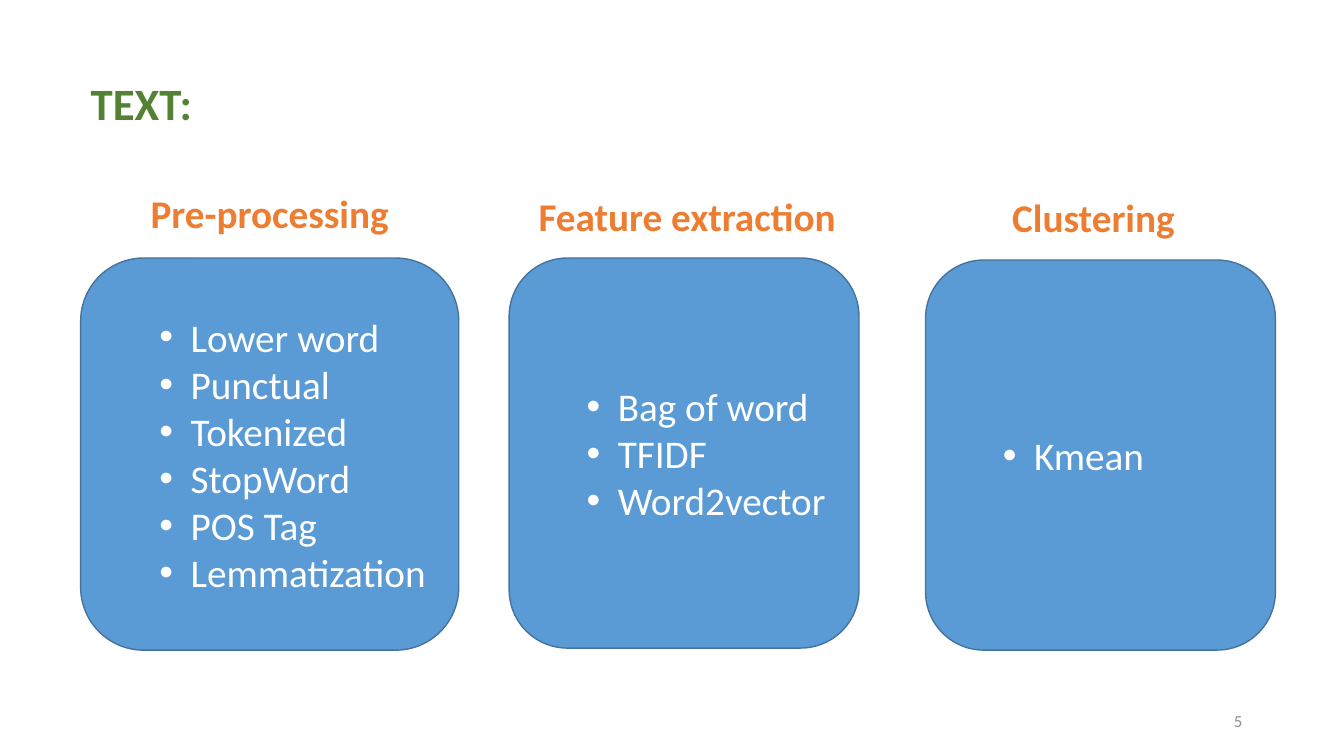
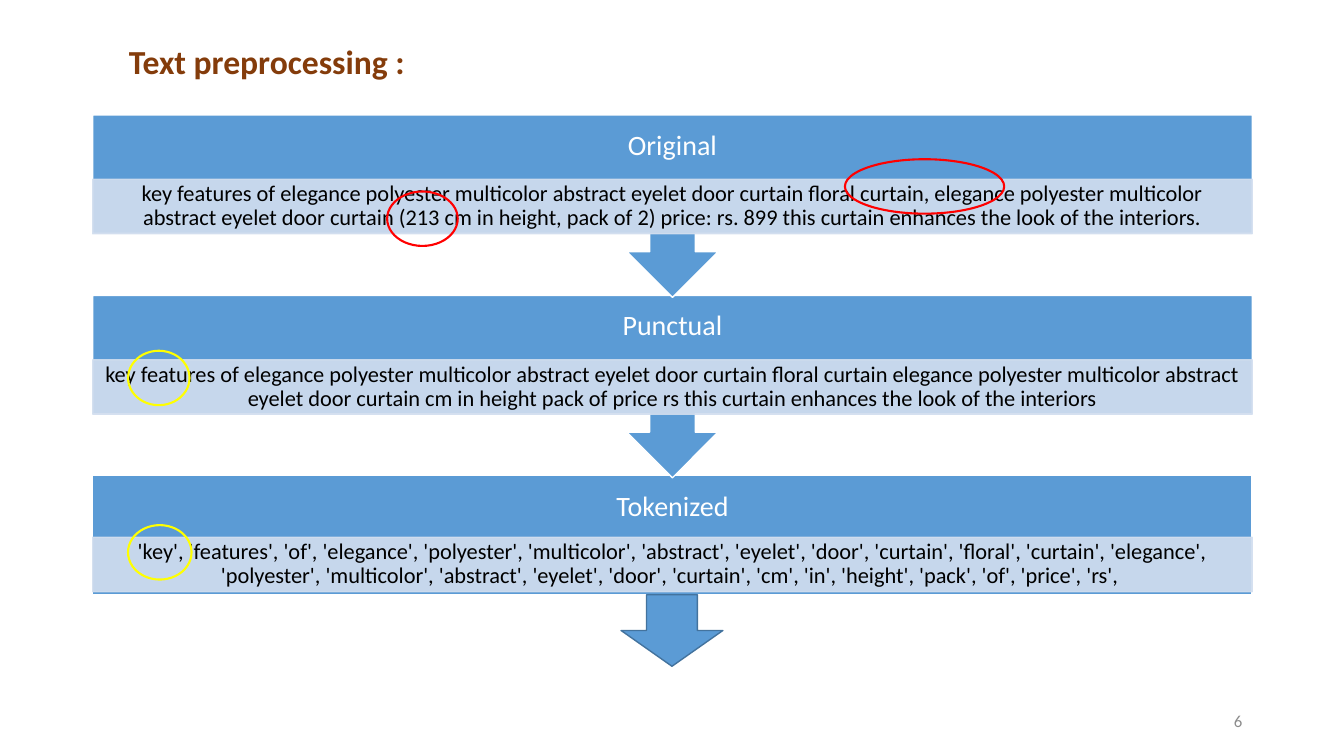
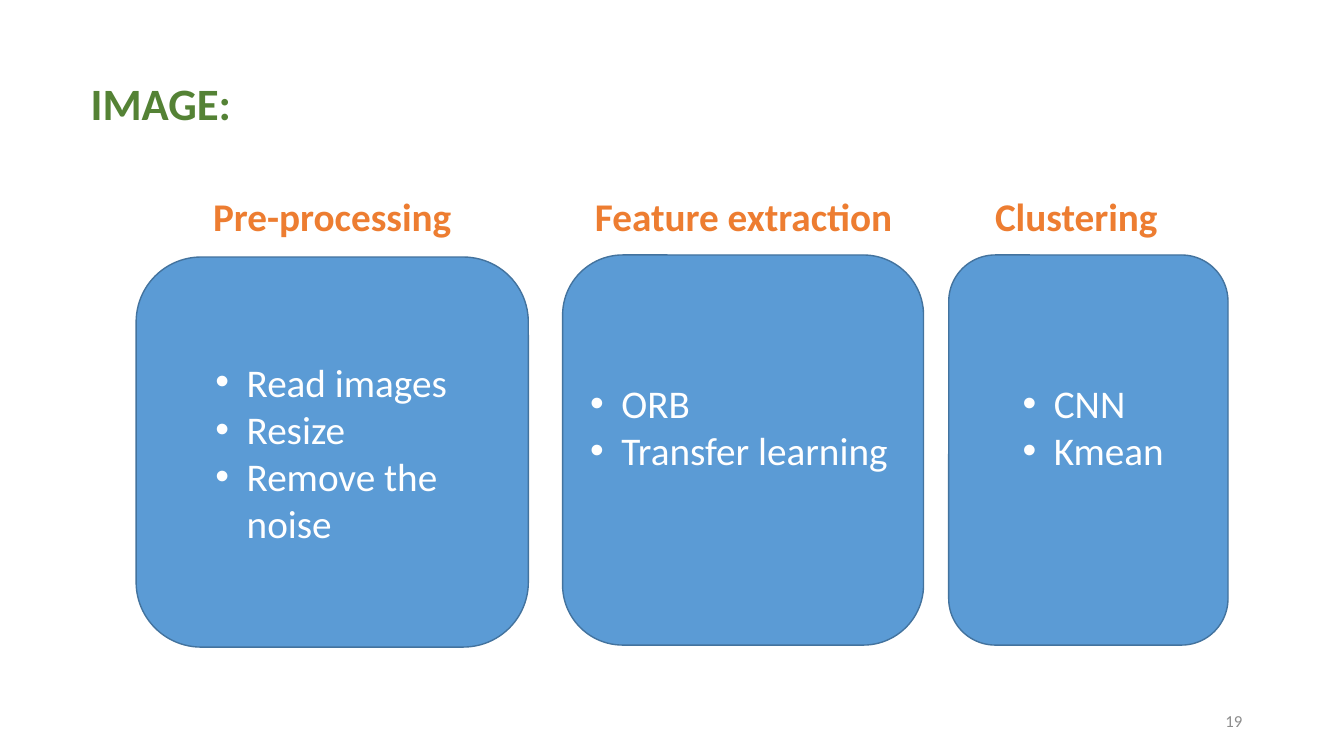
from dataclasses import dataclass

from lxml.etree import SubElement
from pptx import Presentation
from pptx.dml.color import RGBColor
from pptx.enum.shapes import MSO_SHAPE
from pptx.enum.text import MSO_ANCHOR, PP_ALIGN
from pptx.oxml.ns import qn
from pptx.util import Inches, Pt


@dataclass(frozen=True)
class Theme:
    font: str = "Calibri"
    blue: str = "5B9BD5"
    blue_edge: str = "43739E"
    pale_blue: str = "D2DEEF"
    white: str = "FFFFFF"
    black: str = "000000"
    green: str = "548235"
    orange: str = "ED7D31"
    brown: str = "843C0B"
    gray: str = "8C8C8C"
    red: str = "FF0000"
    yellow: str = "FFFF00"
    title_size: int = 32
    body_size: int = 28
    subtitle_size: int = 24
    stage_size: int = 20
    detail_size: int = 16
    footer_size: int = 12


THEME = Theme()


@dataclass(frozen=True)
class Card:
    """Rounded card; boxes are (left, top, width, height) in inches."""
    heading: str
    heading_box: tuple
    box: tuple
    items: tuple
    indent: float = 0.81
    bottom_inset: float = 0.05


TEXT_CARDS = (
    Card("Pre-processing", (0.73, 1.7, 3.89, 0.83), (0.8, 2.56, 3.75, 3.89),
         ("Lower word", "Punctual", "Tokenized", "StopWord", "POS Tag", "Lemmatization")),
    Card("Feature extraction", (5.05, 1.75, 3.53, 0.78), (5.05, 2.56, 3.47, 3.87),
         ("Bag of word", "TFIDF", "Word2vector")),
    Card("Clustering", (9.08, 1.76, 3.53, 0.78), (9.18, 2.58, 3.47, 3.87), ("Kmean",)),
)

IMAGE_CARDS = (
    Card("Pre-processing", (1.7, 1.75, 3.19, 0.78), (1.35, 2.55, 3.89, 3.87),
         ("Read images", "Resize", "Remove the noise")),
    Card("Feature extraction", (5.61, 1.75, 3.53, 0.78), (5.58, 2.53, 3.58, 3.87),
         ("ORB", "Transfer learning"), indent=0.31, bottom_inset=0.52),
    Card("Clustering", (9.31, 1.75, 2.73, 0.78), (9.41, 2.53, 2.77, 3.87),
         ("CNN", "Kmean"), bottom_inset=0.52),
)

STAGES = (
    ("Original",
     "key features of elegance polyester multicolor abstract eyelet door curtain floral "
     "curtain, elegance polyester multicolor abstract eyelet door curtain (213 cm in height, "
     "pack of 2) price: rs. 899 this curtain enhances the look of the interiors."),
    ("Punctual",
     "key features of elegance polyester multicolor abstract eyelet door curtain floral "
     "curtain elegance polyester multicolor abstract eyelet door curtain cm in height pack of "
     "price rs this curtain enhances the look of the interiors"),
    ("Tokenized",
     "'key', 'features', 'of', 'elegance', 'polyester', 'multicolor', 'abstract', 'eyelet', "
     "'door', 'curtain', 'floral', 'curtain', 'elegance', 'polyester', 'multicolor', "
     "'abstract', 'eyelet', 'door', 'curtain', 'cm', 'in', 'height', 'pack', 'of', 'price', "
     "'rs', "),
)

HIGHLIGHTS = (
    (THEME.red, (8.38, 1.58, 1.58, 0.54)),
    (THEME.yellow, (1.27, 5.21, 0.63, 0.54)),
    (THEME.red, (3.84, 1.9, 0.7, 0.54)),
    (THEME.yellow, (1.27, 3.48, 0.61, 0.54)),
)


def color(value):
    return RGBColor.from_string(value)


def set_bullet(paragraph, indent):
    properties = paragraph._p.get_or_add_pPr()
    properties.set("marL", str(Inches(indent)))
    properties.set("indent", str(-Inches(0.31)))
    SubElement(properties, qn("a:buFont")).set("typeface", "Arial")
    SubElement(properties, qn("a:buChar")).set("char", "•")


def write(shape, *lines, size, ink, bold=False, align=PP_ALIGN.LEFT,
          insets=(0.1, 0.05, 0.1, 0.05), spacing=None, indent=None):
    """Fill a shape with one paragraph per line; an indent makes them bullets."""
    frame = shape.text_frame
    frame.word_wrap = True
    frame.vertical_anchor = MSO_ANCHOR.MIDDLE
    (frame.margin_left, frame.margin_top,
     frame.margin_right, frame.margin_bottom) = map(Inches, insets)
    for index, line in enumerate(lines):
        paragraph = frame.add_paragraph() if index else frame.paragraphs[0]
        paragraph.alignment = align
        if spacing:
            paragraph.line_spacing = spacing
        if indent is not None:
            set_bullet(paragraph, indent)
        span = paragraph.add_run()
        span.text = line
        span.font.name = THEME.font
        span.font.size = Pt(size)
        span.font.bold = bold
        span.font.color.rgb = color(ink)


def add_block(page, kind, box, fill=None, edge=None, edge_width=1):
    shape = page.shapes.add_shape(kind, *map(Inches, box))
    shape.shadow.inherit = False
    if fill:
        shape.fill.solid()
        shape.fill.fore_color.rgb = color(fill)
    else:
        shape.fill.background()
    if edge:
        shape.line.color.rgb = color(edge)
        shape.line.width = Pt(edge_width)
    else:
        shape.line.fill.background()
    return shape


def add_heading(page, box, text, **text_format):
    """Place bold text on a white panel."""
    panel = add_block(page, MSO_SHAPE.RECTANGLE, box, THEME.white)
    write(panel, text, bold=True, **text_format)


def set_opacity(shape, percent):
    """Apply one opacity to both the fill and the outline."""
    for tint in shape._element.spPr.iter(qn("a:srgbClr")):
        SubElement(tint, qn("a:alpha")).set("val", str(percent * 1000))


def add_page(deck, number):
    page = deck.slides.add_slide(deck.slide_layouts[6])
    footer = page.shapes.add_textbox(*map(Inches, (9.42, 6.95, 3, 0.4)))
    write(footer, str(number), size=THEME.footer_size, ink=THEME.gray,
          align=PP_ALIGN.RIGHT)
    return page


def add_card(page, card):
    add_heading(page, card.heading_box, card.heading, size=THEME.body_size,
                ink=THEME.orange, align=PP_ALIGN.CENTER)
    shape = add_block(page, MSO_SHAPE.ROUNDED_RECTANGLE, card.box,
                      THEME.blue, THEME.blue_edge)
    write(shape, *card.items, size=THEME.body_size, ink=THEME.white,
          indent=card.indent, insets=(0.1, 0.05, 0.1, card.bottom_inset))


def add_cards_page(deck, number, title, cards):
    page = add_page(deck, number)
    add_heading(page, (0.8, 0.74, 4.25, 0.56), title, size=THEME.title_size,
                ink=THEME.green)
    for card in cards:
        add_card(page, card)


def add_stage(page, top, name, detail, is_last):
    left, width, body_height = 0.92, 11.5, 1.18
    kind = MSO_SHAPE.RECTANGLE if is_last else MSO_SHAPE.DOWN_ARROW_CALLOUT
    height = body_height if is_last else 1.81
    block = add_block(page, kind, (left, top, width, height), THEME.blue, THEME.white)
    write(block, name, size=THEME.stage_size, ink=THEME.white, align=PP_ALIGN.CENTER,
          spacing=0.9, insets=(0.16, 0.16, 0.16, 0.71))
    detail_top = top + (0.61 if is_last else 0.64)
    band = add_block(page, MSO_SHAPE.RECTANGLE, (left, detail_top, width, 0.54),
                     THEME.pale_blue, THEME.pale_blue)
    set_opacity(band, 90)
    write(band, detail, size=THEME.detail_size, ink=THEME.black, align=PP_ALIGN.CENTER,
          spacing=0.9, insets=(0.12, 0.02, 0.12, 0.02))


def add_stages_page(deck, number, title):
    page = add_page(deck, number)
    first_top, pitch = 1.14, 1.79
    last = len(STAGES) - 1
    # Bottom stage first, so that each arrow tip lies over the stage below it.
    for index in range(last, -1, -1):
        add_stage(page, first_top + index * pitch, *STAGES[index], is_last=index == last)
    add_block(page, MSO_SHAPE.DOWN_ARROW, (6.16, 5.9, 1.01, 0.71),
              THEME.blue, THEME.blue_edge)
    add_heading(page, (1.18, 0.34, 3.01, 0.54), title, size=THEME.subtitle_size,
                ink=THEME.brown)
    for edge, box in HIGHLIGHTS:
        add_block(page, MSO_SHAPE.OVAL, box, edge=edge, edge_width=1.5)


def main():
    deck = Presentation()
    deck.slide_width, deck.slide_height = Inches(13.33), Inches(7.5)
    add_cards_page(deck, 5, "TEXT:", TEXT_CARDS)
    add_stages_page(deck, 6, "Text preprocessing :")
    add_cards_page(deck, 19, "IMAGE:", IMAGE_CARDS)
    deck.save("out.pptx")


if __name__ == "__main__":
    main()
